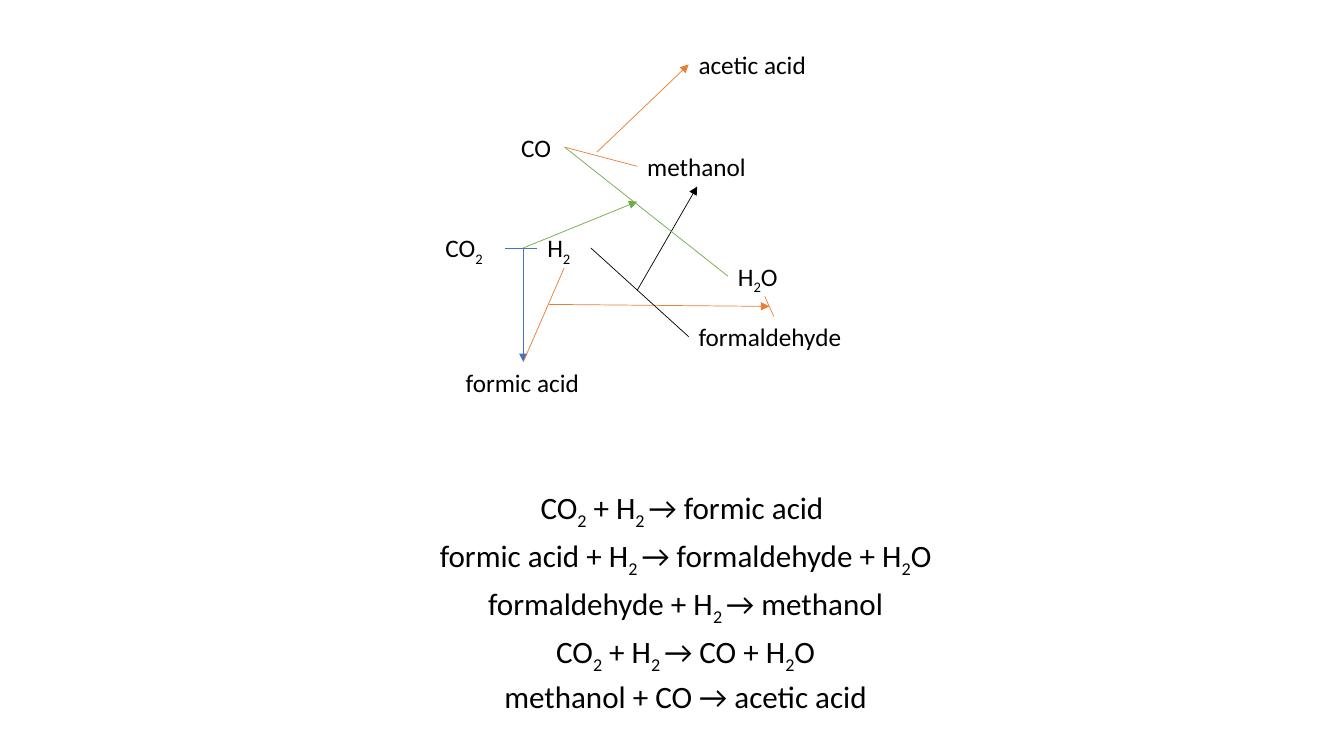
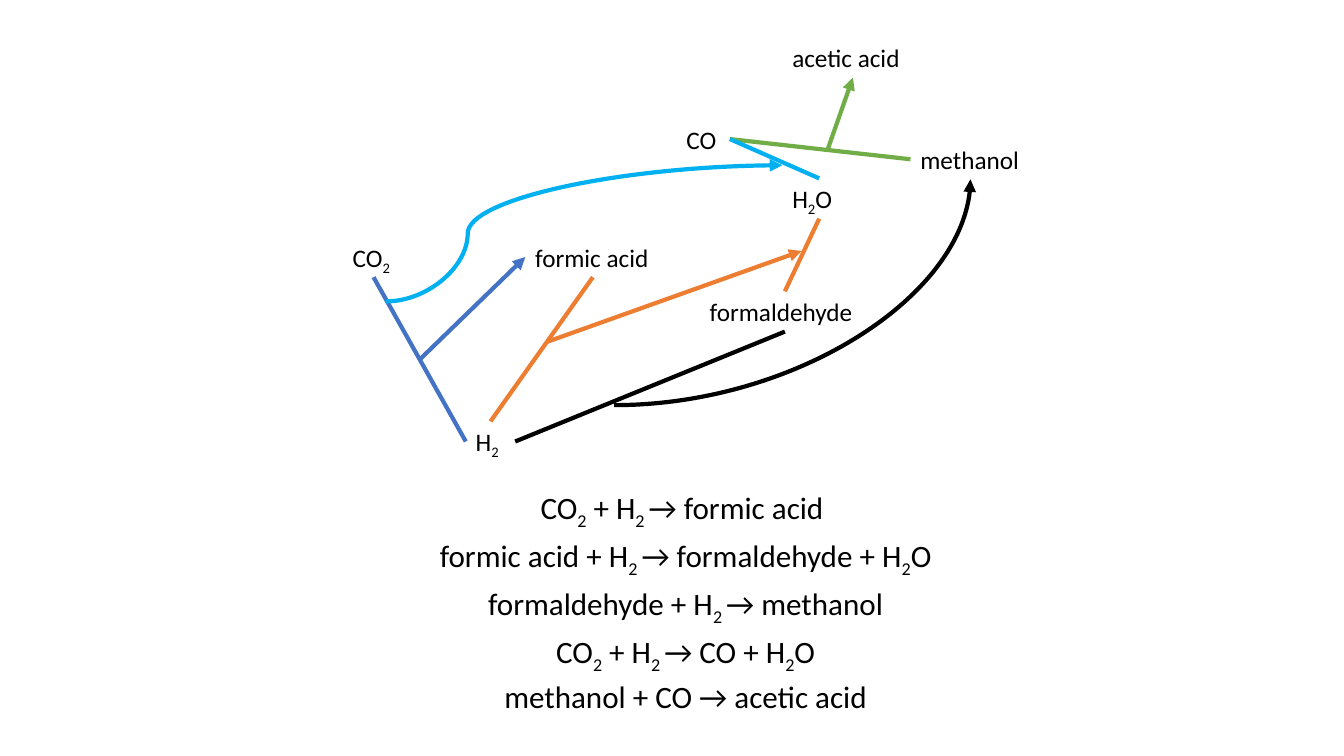
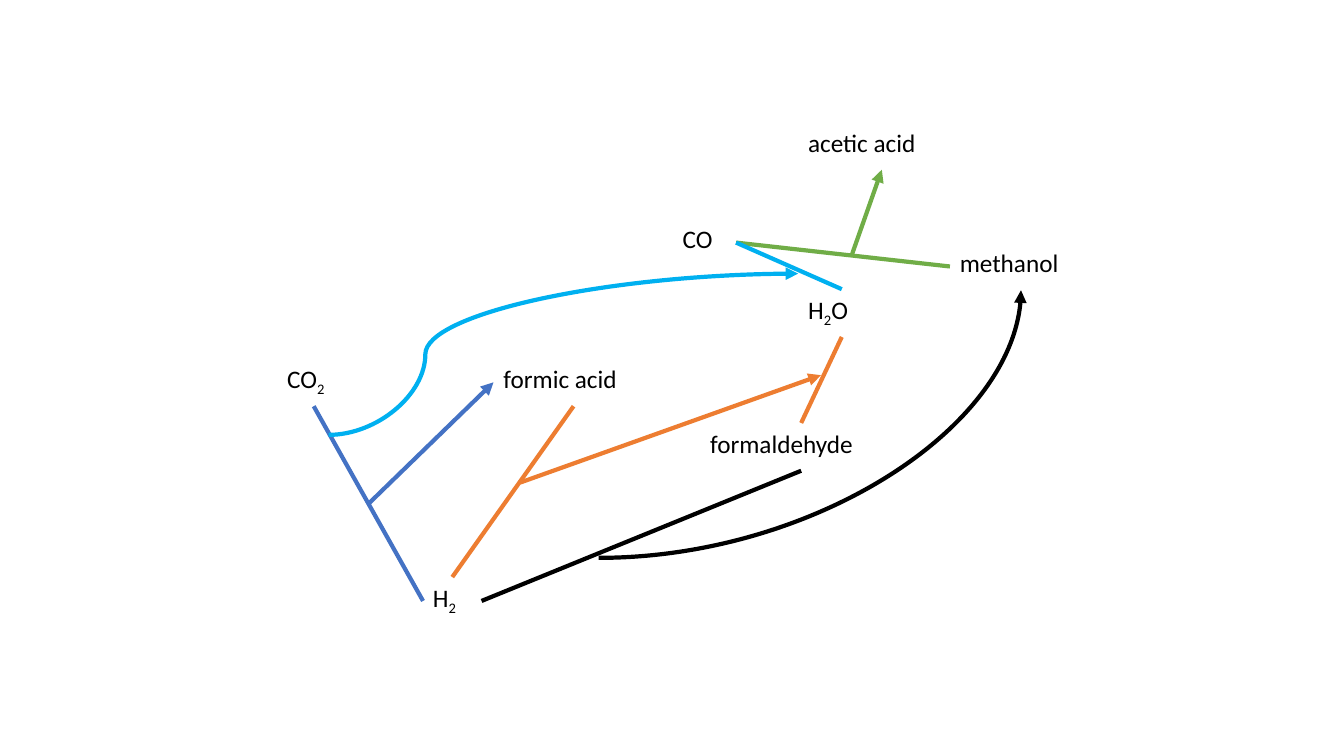
from dataclasses import dataclass

from lxml import etree
from pptx import Presentation
from pptx.dml.color import RGBColor
from pptx.enum.shapes import MSO_CONNECTOR
from pptx.enum.text import PP_ALIGN
from pptx.oxml.ns import qn
from pptx.util import Inches, Pt

STRAIGHT, CURVE = MSO_CONNECTOR.STRAIGHT, MSO_CONNECTOR.CURVE
CENTER, LEFT = PP_ALIGN.CENTER, PP_ALIGN.LEFT


@dataclass(frozen=True)
class Theme:
    font: str = "Calibri"
    label: float = 18
    body: float = 22.2
    black: str = "000000"
    blue: str = "4472C4"
    orange: str = "ED7D31"
    green: str = "70AD47"
    cyan: str = "00B0F0"
    thin: float = 0.5
    thick: float = 3


T = Theme()
ROW = 0.4  # label height

# Text between bars is subscript
NAMES = {
    "CO2": "CO|2", "H2": "H|2", "H2O": "H|2|O", "CO": "CO",
    "formic": "formic acid", "formal": "formaldehyde",
    "methanol": "methanol", "acetic": "acetic acid",
}

STEPS = [
    "CO|2| + H|2 |→ formic acid ",
    "formic acid + H|2 |→ formaldehyde + H|2|O",
    "formaldehyde + H|2 |→ methanol",
    "CO|2| + H|2 |→ CO + H|2|O",
    "methanol + CO → acetic acid",
]

# Labels: left, top, width within the diagram.
# Links: colour, start, end, kind; an end is "label side" or a point.
SMALL = {
    "width": T.thin,
    "labels": {
        "CO2": (0, 1.82, 0.69), "H2": (1.01, 1.82, 0.53),
        "formic": (0.2, 3.15, 1.34), "formal": (2.51, 2.7, 1.69),
        "H2O": (2.9, 2.1, 0.73), "methanol": (2, 1.01, 1.19),
        "CO": (0.75, 0.82, 0.53), "acetic": (2.51, 0, 1.4),
    },
    "links": [
        (T.blue, "CO2 right", "H2 left", "line"),
        (T.blue, (0.87, 2.02), "formic top", "arrow"),
        (T.orange, "formic top", "H2 bottom", "line"),
        (T.orange, (1.12, 2.58), (3.31, 2.6), "arrow"),
        (T.black, "formal left", "H2 right", "line"),
        (T.orange, "H2O bottom", "formal top", "line"),
        (T.black, (2, 2.44), "methanol bottom", "arrow"),
        (T.green, "CO right", "H2O left", "line"),
        (T.green, (0.87, 2.02), (2, 1.56), "arrow"),
        (T.orange, "methanol left", "CO right", "line"),
        (T.orange, (1.6, 1.07), "acetic left", "arrow"),
    ],
}

WIDE = {
    "width": T.thick,
    "labels": {
        "CO2": (0, 1.98, 0.61), "formic": (1.81, 1.98, 1.34),
        "formal": (3.54, 2.52, 1.69), "H2O": (4.36, 1.4, 0.73),
        "methanol": (5.63, 1.01, 1.19), "CO": (3.31, 0.81, 0.53),
        "acetic": (4.36, 0, 1.4), "H2": (1.22, 3.81, 0.49),
    },
    "links": [
        (T.blue, "CO2 bottom", "H2 left", "line"),
        (T.orange, "H2 top", "formic bottom", "line"),
        (T.black, "H2 right", "formal bottom", "line"),
        (T.green, "methanol left", "CO right", "line"),
        (T.orange, "formal top", "H2O bottom", "line"),
        (T.cyan, "CO right", "H2O top", "line"),
        (T.blue, (0.76, 3.2), "formic left", "arrow"),
        (T.orange, (2.03, 3.02), (4.55, 2.12), "arrow"),
        (T.cyan, (0.43, 2.62), (4.36, 1.27), "wave"),
        (T.green, (4.81, 1.11), "acetic bottom", "arrow"),
        (T.black, (2.69, 3.65), "methanol bottom", "bend"),
    ],
}

SIDES = {"left": (0, 0.5), "right": (1, 0.5), "top": (0.5, 0), "bottom": (0.5, 1)}


def write(para, text, size, align=LEFT):
    """Add the runs of one line; every second piece is subscript."""
    para.alignment = align
    for i, piece in enumerate(text.split("|")):
        run = para.add_run()
        run.text = piece
        run.font.name = T.font
        run.font.size = Pt(size)
        run.font.color.rgb = RGBColor.from_string(T.black)
        if i % 2:
            run.font._element.set("baseline", "-25000")


def add_box(shapes, x, y, w, h):
    frame = shapes.add_textbox(Inches(x), Inches(y), Inches(w), Inches(h)).text_frame
    frame.word_wrap = True
    return frame


def add_link(shapes, start, end, color, width, kind):
    form = CURVE if kind in ("wave", "bend") else STRAIGHT
    link = shapes.add_connector(form, *map(Inches, start + end))
    link.line.color.rgb = RGBColor.from_string(color)
    link.line.width = Pt(width)
    props = link._element.spPr
    # Curve shape
    geom = props.find(qn("a:prstGeom"))
    if kind == "bend":
        geom.set("prst", "curvedConnector2")
    elif kind == "wave":
        guides = geom.find(qn("a:avLst"))
        etree.SubElement(guides, qn("a:gd"), name="adj1", fmla="val 20600")
    # Arrowhead, then no shadow
    if kind != "line":
        etree.SubElement(props.find(qn("a:ln")), qn("a:tailEnd"), type="triangle")
    etree.SubElement(props, qn("a:effectLst"))


def add_map(shapes, plan, x, y, scale=1):
    """Draw a reaction map with its top left corner at x, y."""
    def place(point):
        return x + point[0] * scale, y + point[1] * scale

    def find(end):
        if not isinstance(end, str):
            return place(end)
        name, side = end.split()
        left, top, width = plan["labels"][name]
        across, down = SIDES[side]
        return place((left + across * width, top + down * ROW))

    # Labels
    for name, (left, top, width) in plan["labels"].items():
        frame = add_box(shapes, *place((left, top)), width * scale, ROW * scale)
        write(frame.paragraphs[0], NAMES[name], T.label)
    # Links
    for color, start, end, kind in plan["links"]:
        add_link(shapes, find(start), find(end), color, plan["width"], kind)


def add_steps(shapes, x, y, w, h):
    """List the reactions, one centred line each."""
    frame = add_box(shapes, x, y, w, h)
    for i, step in enumerate(STEPS):
        para = frame.add_paragraph() if i else frame.paragraphs[0]
        para.line_spacing = 0.8
        para.space_before = Pt(10)
        write(para, step, T.body, CENTER)


def main():
    deck = Presentation()
    deck.slide_width, deck.slide_height = Inches(13.33), Inches(7.5)
    blank = deck.slide_layouts[6]

    # Maps above the list of reactions
    for plan, x, y in [(SMALL, 4.32, 0.44), (WIDE, 3.4, 0.37)]:
        shapes = deck.slides.add_slide(blank).shapes
        add_steps(shapes, 1.8, 4.84, 10, 2.21)
        add_map(shapes, plan, x, y)

    # Enlarged map alone, as one group
    group = deck.slides.add_slide(blank).shapes.add_group_shape()
    add_map(group.shapes, WIDE, 2.75, 1.21, 1.185)

    deck.save("out.pptx")


if __name__ == "__main__":
    main()
